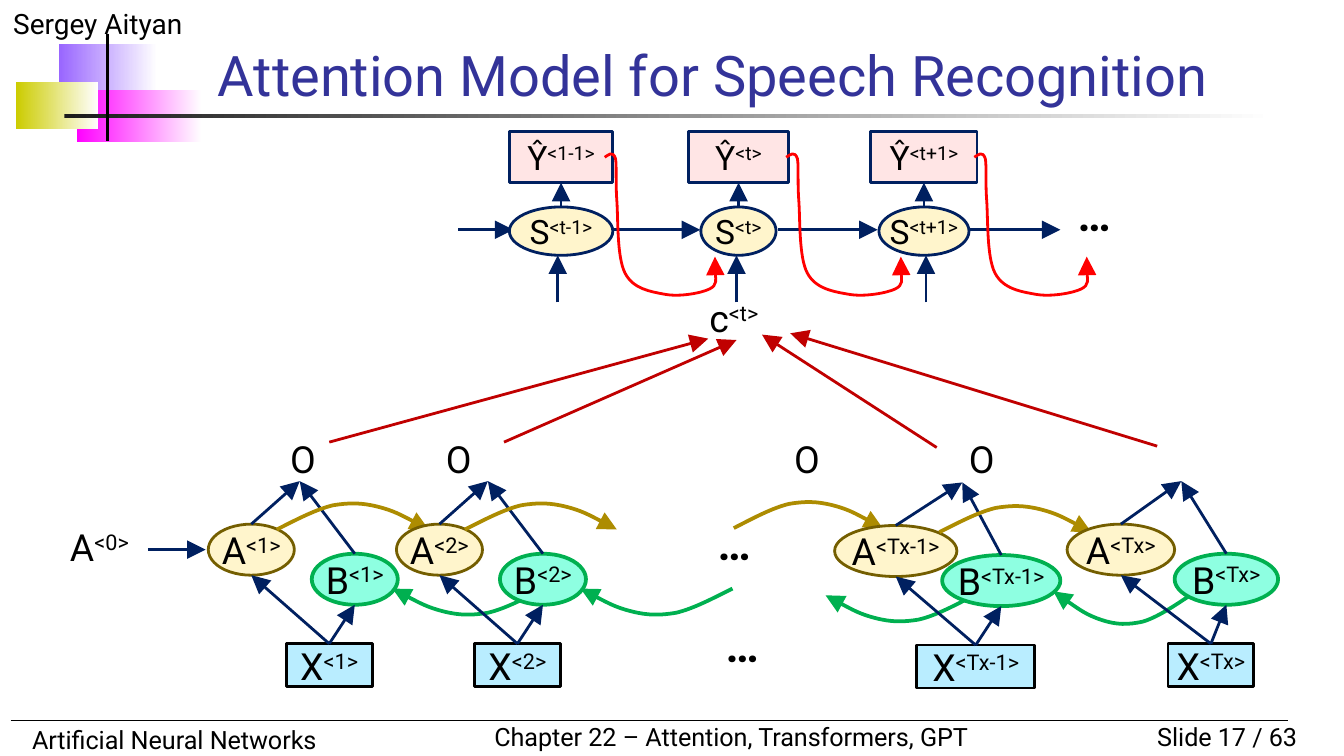
from lxml import etree
from pptx import Presentation
from pptx.dml.color import RGBColor
from pptx.enum.shapes import MSO_CONNECTOR, MSO_SHAPE
from pptx.enum.text import MSO_ANCHOR, MSO_AUTO_SIZE, PP_ALIGN
from pptx.oxml.ns import qn
from pptx.util import Inches, Pt

FONT = "Roboto"
BLACK = RGBColor(0x00, 0x00, 0x00)
WHITE = RGBColor(0xFF, 0xFF, 0xFF)
CHARCOAL = RGBColor(0x1C, 0x1C, 0x1C)
INDIGO = RGBColor(0x33, 0x33, 0x99)
VIOLET = RGBColor(0x99, 0x66, 0xFF)
MAGENTA = RGBColor(0xFF, 0x00, 0xFF)
OLIVE = RGBColor(0xCC, 0xCC, 0x00)
NAVY = RGBColor(0x00, 0x20, 0x60)
CREAM = RGBColor(0xFF, 0xF5, 0xCC)
PINK = RGBColor(0xFF, 0xE5, 0xE5)
RED = RGBColor(0xFF, 0x00, 0x00)
DARK_RED = RGBColor(0xC0, 0x00, 0x00)
BROWN = RGBColor(0x74, 0x5E, 0x00)
GOLD = RGBColor(0xAD, 0x8C, 0x01)
GREEN = RGBColor(0x00, 0xB0, 0x50)
MINT = RGBColor(0x8E, 0xFF, 0xE1)
SKY = RGBColor(0xB9, 0xED, 0xFF)

# Bezier points after the start, as offsets in inches
ARC = [(.14, -.07), (.29, -.15), (.42, -.18), (.54, -.2), (.63, -.2),
       (.75, -.17), (.87, -.14), (1, -.07), (1.13, 0)]
FEEDBACK = [(.03, -.02), (.06, -.05), (.08, .01), (.09, .06), (.08, .18),
            (.09, .32), (.1, .46), (.09, .74), (.15, .86), (.21, .98),
            (.34, 1), (.45, 1.02), (.56, 1.04), (.72, 1.01), (.78, .98),
            (.84, .95), (.82, .87), (.82, .83), (.83, .79), (.83, .77),
            (.82, .74)]


def add_label(tf, text, size, sup=""):
    """Write text followed by an optional superscript."""
    p = tf.paragraphs[0]
    p.font.size, p.font.name, p.font.color.rgb = Pt(size), FONT, BLACK
    p.add_run().text = text
    if sup:
        r = p.add_run()
        r.text = sup
        r.font._element.set("baseline", "30000")
    return p


def center_label(tf):
    tf.margin_left = tf.margin_right = tf.margin_top = tf.margin_bottom = 0
    tf.word_wrap = False
    tf.vertical_anchor = MSO_ANCHOR.MIDDLE
    tf.paragraphs[0].alignment = PP_ALIGN.CENTER


def add_text(slide, box, text, size, sup="", wrap=True):
    tf = slide.shapes.add_textbox(*map(Inches, box)).text_frame
    tf.word_wrap = wrap
    return add_label(tf, text, size, sup)


def add_node(slide, kind, box, fill, line, text, sup, size=20, width=1.5):
    sp = slide.shapes.add_shape(kind, *map(Inches, box))
    sp.shadow.inherit = False
    sp.fill.solid()
    sp.fill.fore_color.rgb = fill
    sp.line.color.rgb, sp.line.width = line, Pt(width)
    add_label(sp.text_frame, text, size, sup)
    center_label(sp.text_frame)
    return sp


def add_arrowhead(line):
    etree.SubElement(line._get_or_add_ln(), qn("a:tailEnd"),
                     type="triangle", w="lg", len="lg")


def add_line(slide, start, end, color, width=1.5, arrow=True):
    cx = slide.shapes.add_connector(MSO_CONNECTOR.STRAIGHT,
                                    *map(Inches, start + end))
    cx.line.color.rgb, cx.line.width = color, Pt(width)
    if arrow:
        add_arrowhead(cx.line)
    etree.SubElement(cx._element.spPr, qn("a:effectLst"))
    return cx


def add_curve(slide, start, offsets, color, width, sx=1, sy=1):
    """Draw an arrow along Bezier offsets, scaled by sx and sy."""
    x, y = start
    builder = slide.shapes.build_freeform(Inches(x), Inches(y))
    builder.add_line_segments(
        [(Inches(x + dx * sx), Inches(y + dy * sy)) for dx, dy in offsets],
        close=False)
    sp = builder.convert_to_shape()
    path = sp._element.find(".//" + qn("a:path"))
    segments = path.findall(qn("a:lnTo"))
    for i in range(0, len(segments), 3):
        bezier = etree.SubElement(path, qn("a:cubicBezTo"))
        for segment in segments[i:i + 3]:
            bezier.append(segment[0])
            path.remove(segment)
    sp.shadow.inherit = False
    sp.fill.background()
    sp.line.color.rgb, sp.line.width = color, Pt(width)
    add_arrowhead(sp.line)


def add_frame(slide):
    """Corner ornament, rules, author and footer."""
    for box, color in [((.44, .33, .73, .39), VIOLET),
                       ((.57, .67, .93, .39), MAGENTA),
                       ((.12, .61, .61, .35), OLIVE),
                       ((.48, .85, 9, .03), CHARCOAL)]:
        sp = slide.shapes.add_shape(MSO_SHAPE.RECTANGLE, *map(Inches, box))
        sp.shadow.inherit = False
        sp.line.fill.background()
        sp.fill.gradient()
        sp.fill.gradient_angle = 0
        for stop, rgb, position in zip(sp.fill.gradient_stops,
                                       (color, WHITE), (0, 1)):
            stop.color.rgb, stop.position = rgb, position
    add_text(slide, (0, 0, 2.5, .35), "Sergey Aityan", 15)
    p = add_text(slide, (8.25, 5.32, 1.5, .33), "Slide 17 / 63", 13.5)
    p.alignment = PP_ALIGN.RIGHT
    add_text(slide, (.14, 5.34, 3.7, .33), "Artificial Neural Networks", 13.5)
    add_text(slide, (3.58, 5.32, 3.77, .33),
             "Chapter 22 – Attention, Transformers, GPT", 13.5, wrap=False)
    add_line(slide, (.08, 5.36), (9.58, 5.36), BLACK, .75, arrow=False)
    add_line(slide, (.8, .25), (.8, 1.05), BLACK, 2, arrow=False)


def add_title(slide, box, text):
    title = slide.shapes.title
    title.left, title.top, title.width, title.height = map(Inches, box)
    tf = title.text_frame
    tf.text = text
    tf.auto_size = MSO_AUTO_SIZE.NONE
    tf.vertical_anchor = MSO_ANCHOR.BOTTOM
    p = tf.paragraphs[0]
    p.alignment = PP_ALIGN.LEFT
    p.font.size, p.font.name, p.font.color.rgb = Pt(30), FONT, INDIGO


def add_decoder_cell(slide, left, top, y_w, s_w, y_sup, s_sup, context_x):
    """Output box over its state; context_x is where the context enters."""
    mid = left + y_w / 2
    state = add_node(slide, MSO_SHAPE.OVAL,
                     (mid - s_w / 2, top + .56, s_w, .36),
                     CREAM, NAVY, "S", s_sup, 18)
    output = add_node(slide, MSO_SHAPE.RECTANGLE, (left, top, y_w, .38),
                      PINK, NAVY, "Ŷ", y_sup, 18)
    cx = add_line(slide, (mid, top + .56), (mid, top + .38), NAVY)
    cx.begin_connect(state, 0)
    cx.end_connect(output, 2)
    add_line(slide, (context_x, top + 1.27), (context_x, top + .92), NAVY)


def add_decoder(slide, top):
    for x1, x2 in [(3.41, 3.82), (4.45, 5.21), (5.79, 6.53), (7.15, 7.89)]:
        add_line(slide, (x1, top + .73), (x2, top + .73), NAVY)
    add_decoder_cell(slide, 3.79, top, .77, .77, "<1-1>", "<t-1>", 4.15)
    add_decoder_cell(slide, 5.12, top, .75, .56, "<t>", "<t>", 5.48)
    add_decoder_cell(slide, 6.48, top, .79, .67, "<t+1>", "<t+1>", 6.89)
    for x, sx in [(4.5, 1), (5.85, 1.04), (7.25, 1.02)]:
        add_curve(slide, (x, top + .19), FEEDBACK, RED, 1.5, sx)
    add_text(slide, (5.18, top + 1.17, .72, .44), "c", 20, "<t>")


def add_encoder_cell(slide, left, top, sup, a_w=.64, b_w=.64, x_w=.64,
                     b_dx=.77, x_dx=.58, join_dx=.68):
    """Input X feeding forward A and backward B, which join at the top."""
    a_mid, b_mid = left + a_w / 2, left + b_dx + b_w / 2
    x_mid, join = left + x_dx + x_w / 2, (left + join_dx, top)
    a = add_node(slide, MSO_SHAPE.OVAL, (left, top + .32, a_w, .38),
                 CREAM, BROWN, "A", sup)
    x = add_node(slide, MSO_SHAPE.RECTANGLE,
                 (left + x_dx, top + 1.21, x_w, .32), SKY, BLACK, "X", sup)
    b = add_node(slide, MSO_SHAPE.OVAL, (left + b_dx, top + .54, b_w, .38),
                 MINT, GREEN, "B", sup, width=2)
    for node, start in [(a, (a_mid, top + .32)), (b, (b_mid, top + .54))]:
        add_line(slide, start, join, NAVY).begin_connect(node, 0)
    for end in [(a_mid, top + .7), (b_mid, top + .92)]:
        add_line(slide, (x_mid, top + 1.21), end, NAVY).begin_connect(x, 0)


def add_passes(slide, forward, backward, sx=1, back_sx=1, back_sy=1):
    """Forward arc and the same arc turned round for the backward pass."""
    add_curve(slide, forward, ARC, GOLD, 2, sx)
    add_curve(slide, backward, ARC, GREEN, 2, -back_sx, -back_sy)


def add_encoder(slide, top):
    add_line(slide, (1.1, top + .51), (1.53, top + .51), NAVY)
    p = add_text(slide, (.42, top + .33, .64, .32), "A", 20, "<0>")
    center_label(p._parent)
    for i in range(2):
        left = 1.55 + 1.4 * i
        add_encoder_cell(slide, left, top, f"<{i + 1}>")
        add_passes(slide, (left + .51, top + .36), (left + 2.5, top + .8))
    add_passes(slide, (5.46, top + .35), (7.25, top + .85), .98, .98)
    add_encoder_cell(slide, 6.21, top + .01, "<Tx-1>", .91, .88, .88,
                     .8, .61, .95)
    add_passes(slide, (6.99, top + .38), (8.9, top + .82), 1, .94, 1.25)
    add_encoder_cell(slide, 7.94, top, "<Tx>", .8, .77, .64, .8, .75, .85)

    p = add_text(slide, (2.06, top - .38, 7.22, .44), "O\tO\tO\tO", 20)
    tabs = etree.Element(qn("a:tabLst"))
    for position in (1.16, 3.75, 5.05):
        etree.SubElement(tabs, qn("a:tab"), pos=str(Inches(position)), algn="l")
    p._p.get_or_add_pPr().insert(0, tabs)


def main():
    prs = Presentation()
    prs.slide_width, prs.slide_height = Inches(10), Inches(10 * 9 / 16)
    slide = prs.slides.add_slide(prs.slide_layouts[5])
    add_frame(slide)
    add_title(slide, (1.52, .31, 8.06, .54),
              "Attention Model for Speech Recognition")
    add_decoder(slide, .98)
    for start, end in [((6.97, 3.33), (5.67, 2.49)),
                       ((8.61, 3.32), (5.88, 2.48)),
                       ((2.45, 3.29), (5.27, 2.52)),
                       ((3.75, 3.29), (5.48, 2.53))]:
        add_line(slide, start, end, DARK_RED)
    add_encoder(slide, 3.58)
    for x, y in [(5.3, 4.55), (5.24, 3.79), (7.92, 1.34)]:
        add_text(slide, (x, y, .51, .51), "…", 24).font.bold = True
    prs.save("out.pptx")


if __name__ == "__main__":
    main()
